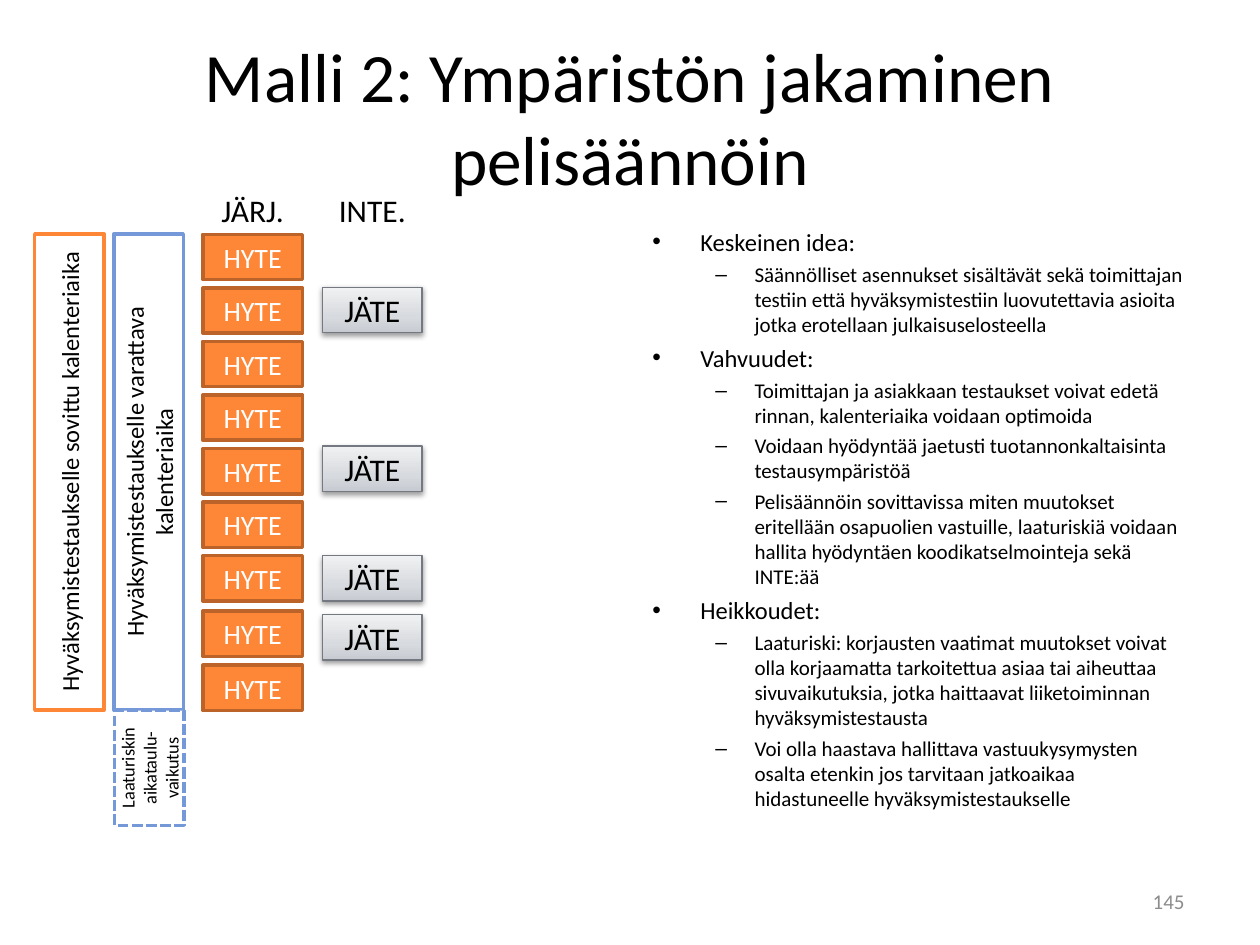
from copy import deepcopy
from dataclasses import dataclass
from typing import Optional

from lxml.etree import SubElement
from pptx import Presentation
from pptx.dml.color import RGBColor
from pptx.enum.dml import MSO_LINE_DASH_STYLE as Dash
from pptx.enum.shapes import MSO_SHAPE as Preset
from pptx.enum.text import MSO_ANCHOR as Anchor, PP_ALIGN as Align
from pptx.oxml.ns import qn
from pptx.util import Inches, Pt

FONT = "Calibri"
COLORS = {
    "black": "000000",
    "white": "FFFFFF",
    "gray": "8C8C8C",
    "orange": "FE8637",
    "dark_orange": "BC6329",
    "blue": "7598D9",
    "steel": "747981",
}
STEEL_GRADIENT = ((0, "C7CBD1"), (0.35, "D7DADE"), (1, "F0F1F3"))
SYSTEM_LEFT, INTEGRATION_LEFT = 1.61, 2.56
CELL_WIDTH, CELL_HEIGHT = 0.79, 0.36
SYSTEM_TOPS = [1.86 + 0.425 * row for row in range(7)] + [4.85, 5.28]
INTEGRATION_TOPS = [2.28, 3.54, 4.41, 4.88]


@dataclass
class Box:
    text: str
    left: float
    top: float
    width: float
    height: float
    size: float
    line: str
    line_width: float = 2
    fill: Optional[str] = "white"
    color: str = "black"
    rotation: float = 0
    dashed: bool = False


@dataclass
class Label:
    text: str
    left: float
    top: float
    width: float
    height: float
    size: float
    color: str = "black"
    align: Align = Align.CENTER
    anchor: Anchor = Anchor.MIDDLE


@dataclass
class Level:
    size: float
    bullet: str
    margin: float
    indent: float
    space_before: float


HEADING = Level(14, "•", 0.38, -0.38, 3.4)
DETAIL = Level(12, "–", 0.81, -0.31, 2.9)

SECTIONS = {
    "Keskeinen idea:": [
        "Säännölliset asennukset sisältävät sekä toimittajan testiin että hyväksymistestiin "
        "luovutettavia asioita jotka erotellaan julkaisuselosteella",
    ],
    "Vahvuudet:": [
        "Toimittajan ja asiakkaan testaukset voivat edetä rinnan, kalenteriaika voidaan optimoida",
        "Voidaan hyödyntää jaetusti tuotannonkaltaisinta testausympäristöä",
        "Pelisäännöin sovittavissa miten muutokset eritellään osapuolien vastuille, laaturiskiä "
        "voidaan hallita hyödyntäen koodikatselmointeja sekä INTE:ää",
    ],
    "Heikkoudet:": [
        "Laaturiski: korjausten vaatimat muutokset voivat olla korjaamatta tarkoitettua asiaa tai "
        "aiheuttaa sivuvaikutuksia, jotka haittaavat liiketoiminnan hyväksymistestausta",
        "Voi olla haastava hallittava vastuukysymysten osalta etenkin jos tarvitaan jatkoaikaa "
        "hidastuneelle hyväksymistestaukselle",
    ],
}

TIME_BOXES = [
    Box("Hyväksymistestaukselle sovittu kalenteriaika", -1.34, 3.47, 3.78, 0.55, 14,
        "orange", rotation=270),
    Box("Hyväksymistestaukselle varattava kalenteriaika", -0.71, 3.47, 3.78, 0.55, 14,
        "blue", rotation=270),
    Box("Laaturiskin aikataulu-vaikutus", 0.73, 5.82, 0.91, 0.55, 10.5,
        "blue", rotation=270, dashed=True),
]
SYSTEM_BOXES = [
    Box("HYTE", SYSTEM_LEFT, top, CELL_WIDTH, CELL_HEIGHT, 16, "dark_orange",
        fill="orange", color="white")
    for top in SYSTEM_TOPS
]
INTEGRATION_BOXES = [
    Box("JÄTE", INTEGRATION_LEFT, top, CELL_WIDTH, CELL_HEIGHT, 18, "steel",
        line_width=0.75, fill=None)
    for top in INTEGRATION_TOPS
]
LABELS = [
    Label("Malli 2: Ympäristön jakaminen pelisäännöin", 0.5, 0.3, 9, 1.25, 39.6),
    Label("JÄRJ.", SYSTEM_LEFT, 1.47, CELL_WIDTH, 0.4, 18, anchor=Anchor.TOP),
    Label("INTE.", INTEGRATION_LEFT, 1.47, CELL_WIDTH, 0.4, 18, anchor=Anchor.TOP),
    Label("145", 7.17, 6.95, 2.33, 0.4, 12, "gray", Align.RIGHT),
]


def rgb(name: str) -> RGBColor:
    return RGBColor.from_string(COLORS[name])


def add_run(paragraph, text: str, size: float, color: str) -> None:
    run = paragraph.add_run()
    run.text = text
    run.font.name = FONT
    run.font.size = Pt(size)
    run.font.color.rgb = rgb(color)


def fill_with_gradient(shape) -> None:
    shape.fill.gradient()
    stop_list = shape._element.spPr.find(".//" + qn("a:gsLst"))
    stop_list.append(deepcopy(stop_list[0]))
    for stop, (position, color) in zip(shape.fill.gradient_stops, STEEL_GRADIENT):
        stop.position = position
        stop.color.rgb = RGBColor.from_string(color)
    shape.fill.gradient_angle = 90


def add_shadow(shape) -> None:
    effects = shape._element.spPr.find(qn("a:effectLst"))
    shadow = SubElement(effects, qn("a:outerShdw"), blurRad=str(Pt(3.1)), dist=str(Pt(1.6)),
                        dir="5400000", rotWithShape="0")
    color = SubElement(shadow, qn("a:srgbClr"), val=COLORS["black"])
    SubElement(color, qn("a:alpha"), val="38000")


def add_box(slide, box: Box) -> None:
    shape = slide.shapes.add_shape(Preset.RECTANGLE, Inches(box.left), Inches(box.top),
                                   Inches(box.width), Inches(box.height))
    shape.rotation = box.rotation
    shape.shadow.inherit = False
    if box.fill:
        shape.fill.solid()
        shape.fill.fore_color.rgb = rgb(box.fill)
    else:
        fill_with_gradient(shape)
        add_shadow(shape)
    shape.line.color.rgb = rgb(box.line)
    shape.line.width = Pt(box.line_width)
    if box.dashed:
        shape.line.dash_style = Dash.SQUARE_DOT
    shape.text_frame.vertical_anchor = Anchor.MIDDLE
    paragraph = shape.text_frame.paragraphs[0]
    paragraph.alignment = Align.CENTER
    add_run(paragraph, box.text, box.size, box.color)


def add_text_frame(slide, left: float, top: float, width: float, height: float):
    text_box = slide.shapes.add_textbox(Inches(left), Inches(top), Inches(width), Inches(height))
    text_box.text_frame.word_wrap = True
    return text_box.text_frame


def add_label(slide, label: Label) -> None:
    frame = add_text_frame(slide, label.left, label.top, label.width, label.height)
    frame.vertical_anchor = label.anchor
    paragraph = frame.paragraphs[0]
    paragraph.alignment = label.align
    add_run(paragraph, label.text, label.size, label.color)


def add_outline(slide) -> None:
    frame = add_text_frame(slide, 5.08, 1.75, 4.42, 4.95)
    entries = [(text, level) for heading, details in SECTIONS.items()
               for text, level in [(heading, HEADING), *((detail, DETAIL) for detail in details)]]
    for index, (text, level) in enumerate(entries):
        paragraph = frame.add_paragraph() if index else frame.paragraphs[0]
        paragraph.level = int(level is DETAIL)
        paragraph.space_before = Pt(level.space_before if index else 0)
        properties = paragraph._p.get_or_add_pPr()
        properties.set("marL", str(Inches(level.margin)))
        properties.set("indent", str(Inches(level.indent)))
        SubElement(properties, qn("a:buFont"), typeface="Arial")
        SubElement(properties, qn("a:buChar"), char=level.bullet)
        add_run(paragraph, text, level.size, "black")


def main() -> None:
    presentation = Presentation()
    presentation.slide_width, presentation.slide_height = Inches(10), Inches(7.5)
    slide = presentation.slides.add_slide(presentation.slide_layouts[6])
    for box in TIME_BOXES + SYSTEM_BOXES + INTEGRATION_BOXES:
        add_box(slide, box)
    for label in LABELS:
        add_label(slide, label)
    add_outline(slide)
    presentation.save("out.pptx")


if __name__ == "__main__":
    main()
